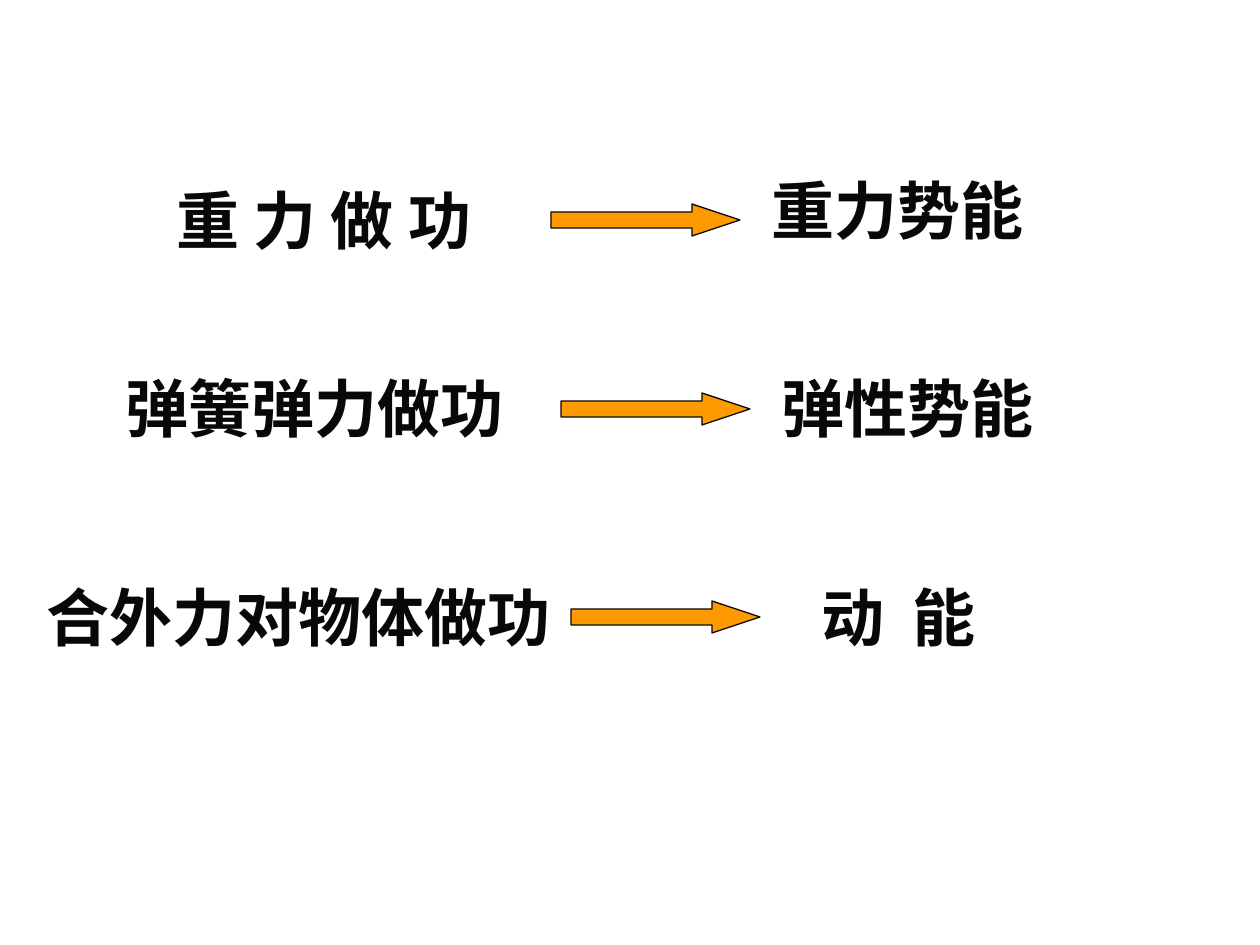
from pptx import Presentation
from pptx.dml.color import RGBColor
from pptx.enum.shapes import MSO_SHAPE
from pptx.enum.text import MSO_AUTO_SIZE
from pptx.util import Emu, Pt

RIGHT_ARROW = MSO_SHAPE.RIGHT_ARROW
GROW = MSO_AUTO_SIZE.SHAPE_TO_FIT_TEXT
INK = RGBColor(0x08, 0x08, 0x08)
ORANGE = RGBColor(0xFF, 0x99, 0x00)
EMU_PER_PX = 914400 / 126
LABEL_HEIGHT = 88
ARROW_WIDTH, ARROW_HEIGHT = 189, 32


def px(*lengths):
    return [Emu(round(length * EMU_PER_PX)) for length in lengths]


def add_label(slide, text, left, top, width, font_name):
    shape = slide.shapes.add_textbox(*px(left, top, width, LABEL_HEIGHT))
    shape.text_frame.word_wrap = True
    shape.text_frame.auto_size = GROW
    paragraph = shape.text_frame.paragraphs[0]
    paragraph.text = text
    paragraph.font.name = font_name
    paragraph.font.size = Pt(36)
    paragraph.font.bold = True
    paragraph.font.color.rgb = INK


presentation = Presentation()
presentation.slide_width, presentation.slide_height = px(1260, 945)
slide = presentation.slides.add_slide(presentation.slide_layouts[6])

rows = [
    (("重 力 做 功", 164, 175, 354), (551, 204), ("重力势能", 759, 165, 410), "Roboto"),
    (("弹簧弹力做功", 113, 363, 438), (561, 393), ("弹性势能", 769, 363, 410), "Roboto"),
    (("合外力对物体做功", 34, 572, 541), (571, 601), ("动  能", 809, 572, 238), "Arial"),
]

for work, arrow_position, energy, font_name in rows:
    add_label(slide, *work, font_name)
    arrow = slide.shapes.add_shape(
        RIGHT_ARROW, *px(*arrow_position, ARROW_WIDTH, ARROW_HEIGHT)
    )
    arrow.adjustments[0] = 0.5
    arrow.adjustments[1] = 1.5
    arrow.shadow.inherit = False
    arrow.fill.solid()
    arrow.fill.fore_color.rgb = ORANGE
    arrow.line.color.rgb = INK
    arrow.line.width = Pt(0.75)
    add_label(slide, *energy, font_name)

presentation.save("out.pptx")
